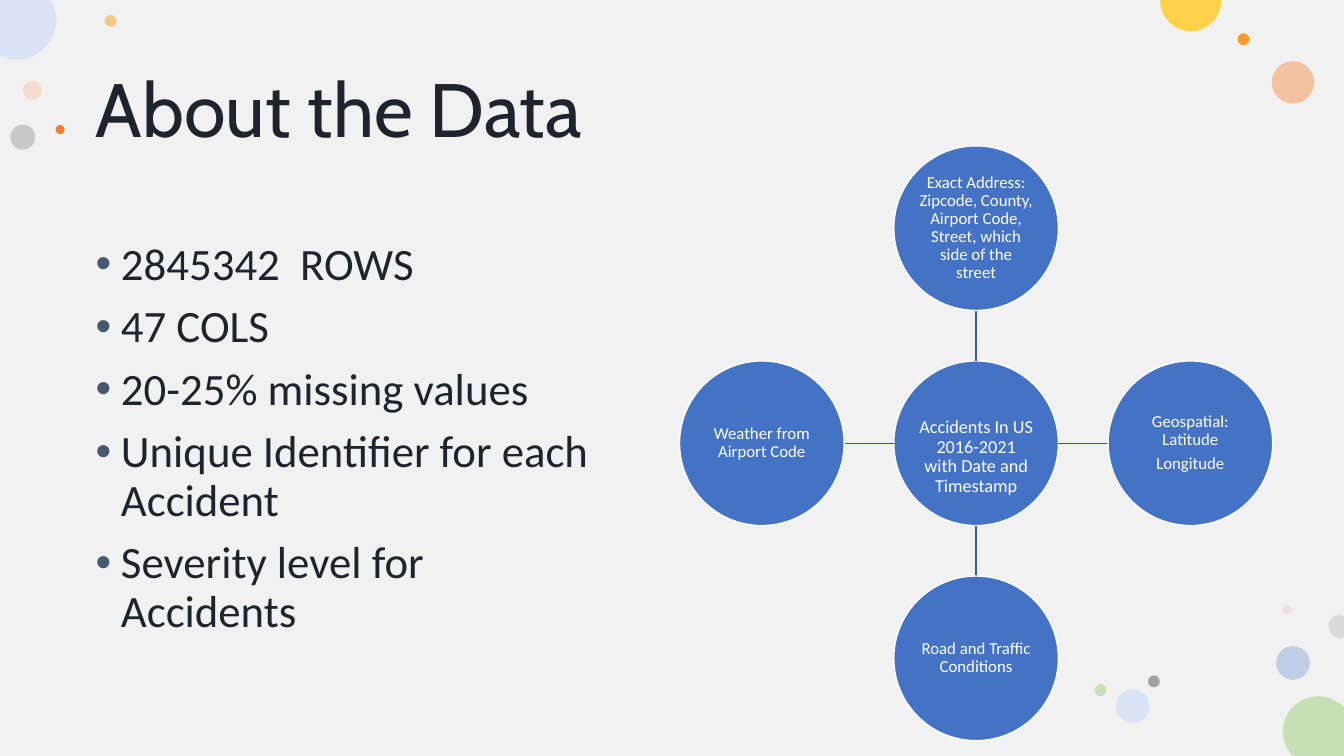
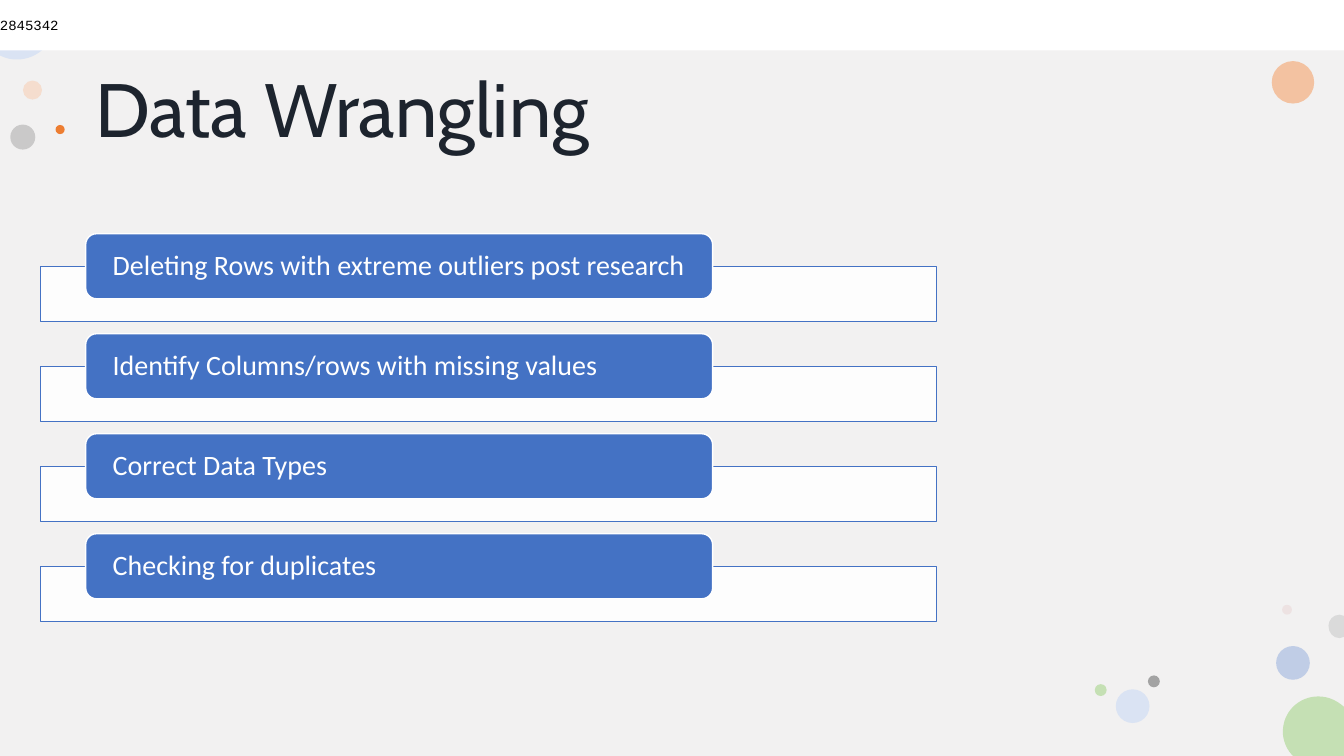
from lxml.etree import Element, SubElement
from pptx import Presentation
from pptx.dml.color import RGBColor
from pptx.enum.shapes import MSO_CONNECTOR, MSO_SHAPE
from pptx.enum.text import MSO_ANCHOR, PP_ALIGN
from pptx.oxml.ns import qn
from pptx.util import Cm, Pt

# Content
ABOUT_TITLE = "About the Data"
DATA_FACTS = [
    "2845342  ROWS",
    "47 COLS",
    "20-25% missing values",
    "Unique Identifier for each Accident",
    "Severity level for Accidents",
]
HUB_TOPIC = "Accidents In US 2016-2021 with Date and Timestamp"
# Column and row direction from the hub, then paragraphs
SPOKE_TOPICS = [
    (0, -1, ["Exact Address: Zipcode, County, Airport Code, Street, which side of the street"]),
    (1, 0, ["Geospatial: Latitude", "Longitude"]),
    (0, 1, ["Road and Traffic Conditions"]),
    (-1, 0, ["Weather from Airport Code"]),
]
WRANGLING_TITLE = "Data Wrangling"
ROW_COUNT = "2845342"
WRANGLING_STEPS = [
    "Deleting Rows with extreme outliers post research",
    "Identify Columns/rows with missing values",
    "Correct Data Types",
    "Checking for duplicates",
]

# Shared look
SLIDE_W, SLIDE_H = 33.87, 19.05
COLORS = {
    "background": "F2F1F1", "ink": "1D242E", "bullet": "475871",
    "accent": "4472C4", "spoke": "365B9D", "white": "FFFFFF", "black": "000000",
    "peach": "F8CBAD", "amber": "F39E29", "blue": "8FAADC", "gray": "A3A3A3",
    "salmon": "F4B183", "rose": "E3BEBE", "pale blue": "DAE3F3",
    "green": "C5E0B4", "yellow": "FFD149", "orange": "ED7D31", "silver": "DADADA",
}
HEADING_FONT, BODY_FONT, CODE_FONT = "Cabin", "Calibri", "Courier New"

# Dots: left, top, diameter (cm), colour, opacity in percent
DOTS = [
    (0.58, 2.03, 0.48, "peach", 50),
    (32.16, 16.28, 0.85, "blue", 50),
    (0.26, 3.14, 0.63, "gray", 50),
    (32.05, 1.54, 1.07, "salmon", 72),
    (32.31, 15.24, 0.25, "rose", 28),
    (28.93, 17.02, 0.3, "gray", 100),
    (28.12, 17.37, 0.85, "pale blue", 100),
    (27.59, 17.24, 0.3, "green", 100),
    (1.4, 3.15, 0.23, "orange", 100),
]
AMBER_DOTS = [
    (2.64, 0.38, 0.3, "amber", 50),
    (31.19, 0.84, 0.3, "amber", 100),
]
# Circles cut by the slide edge: colour, start, then lines (x, y)
# and curves (two control points and an end point)
EDGE_CIRCLES = [
    ("green", (33.22, 17.55), [
        (33.48, 17.55, 33.68, 17.65, 33.87, 17.81),
        (33.87, 19.05), (32.59, 19.05), (32.54, 19),
        (32.41, 18.85, 32.33, 18.64, 32.33, 18.44),
        (32.33, 17.93, 32.74, 17.55, 33.22, 17.55)]),
    ("pale blue", (0, 0), [
        (1.27, 0), (1.35, 0.13),
        (1.4, 0.23, 1.42, 0.36, 1.42, 0.51),
        (1.42, 1.04, 0.97, 1.5, 0.43, 1.5),
        (0.28, 1.5, 0.15, 1.47, 0.05, 1.42),
        (0, 1.4)]),
    ("yellow", (29.26, 0), [
        (30.78, 0), (30.78, 0.03),
        (30.78, 0.43, 30.43, 0.79, 30.02, 0.79),
        (29.59, 0.79, 29.24, 0.43, 29.24, 0.03)]),
    ("silver", (33.76, 15.49), [
        (33.87, 15.52), (33.87, 16.05), (33.76, 16.08),
        (33.6, 16.08, 33.48, 15.95, 33.48, 15.77),
        (33.48, 15.62, 33.6, 15.49, 33.76, 15.49)]),
]


def rgb(color):
    return RGBColor.from_string(COLORS[color])


def paint(shape, fill, line=None, opacity=100):
    shape.shadow.inherit = False
    shape.fill.solid()
    shape.fill.fore_color.rgb = rgb(fill)
    if opacity < 100:
        tint = shape.fill._xPr.find(qn("a:solidFill"))[0]
        SubElement(tint, qn("a:alpha")).set("val", str(opacity * 1000))
    if line:
        shape.line.color.rgb = rgb(line)
        shape.line.width = Pt(1)
    else:
        shape.line.fill.background()


def add_block(slide, kind, left, top, width, height, fill, line=None, opacity=100):
    block = slide.shapes.add_shape(kind, Cm(left), Cm(top), Cm(width), Cm(height))
    paint(block, fill, line, opacity)
    return block


def add_edge_circle(slide, color, start, segments):
    points = [(Cm(segment[i]), Cm(segment[i + 1]))
              for segment in segments for i in range(0, len(segment), 2)]
    builder = slide.shapes.build_freeform(Cm(start[0]), Cm(start[1]))
    builder.add_line_segments(points, close=True)
    circle = builder.convert_to_shape()
    paint(circle, color)

    # Turn each curve's three points into one Bézier segment
    lines = iter(circle._element.spPr.findall(".//" + qn("a:lnTo")))
    for segment in segments:
        parts = [next(lines) for _ in range(len(segment) // 2)]
        if len(parts) == 3:
            curve = Element(qn("a:cubicBezTo"))
            parts[0].addprevious(curve)
            for part in parts:
                curve.append(part[0])
                part.getparent().remove(part)


def write(shape, paragraphs, size, color, font=BODY_FONT, align=PP_ALIGN.LEFT,
          anchor=MSO_ANCHOR.MIDDLE, insets=None, before=0, after=0, spacing=0.9):
    frame = shape.text_frame
    frame.word_wrap = True
    frame.vertical_anchor = anchor
    if insets:
        (frame.margin_left, frame.margin_top,
         frame.margin_right, frame.margin_bottom) = [Cm(inset) for inset in insets]
    for index, text in enumerate(paragraphs):
        paragraph = frame.add_paragraph() if index else frame.paragraphs[0]
        paragraph.alignment = align
        paragraph.line_spacing = spacing
        paragraph.space_before, paragraph.space_after = Pt(before), Pt(after)
        run = paragraph.add_run()
        run.text = text
        run.font.size, run.font.name = Pt(size), font
        run.font.color.rgb = rgb(color)


def add_bullets(shape):
    for paragraph in shape.text_frame.paragraphs:
        properties = paragraph._p.get_or_add_pPr()
        properties.set("marL", str(Cm(0.64)))
        properties.set("indent", str(-Cm(0.64)))
        bullet_color = SubElement(properties, qn("a:buClr"))
        SubElement(bullet_color, qn("a:srgbClr")).set("val", COLORS["bullet"])
        SubElement(properties, qn("a:buFont")).set("typeface", "Arial")
        SubElement(properties, qn("a:buChar")).set("char", "•")


def add_base_slide(deck, title, dots):
    slide = deck.slides.add_slide(deck.slide_layouts[6])
    add_block(slide, MSO_SHAPE.RECTANGLE, 0, 0, SLIDE_W, SLIDE_H, "background")
    for left, top, size, color, opacity in dots:
        add_block(slide, MSO_SHAPE.OVAL, left, top, size, size, color, opacity=opacity)
    for circle in EDGE_CIRCLES:
        add_edge_circle(slide, *circle)
    heading = slide.shapes.add_textbox(Cm(2.16), Cm(1.02), Cm(29.62), Cm(3.68))
    write(heading, [title], 54, "ink", HEADING_FONT)
    return slide


def add_topic(slide, x, y, size, paragraphs, font_size, top_inset=0.02):
    topic = add_block(slide, MSO_SHAPE.OVAL, x - size / 2, y - size / 2,
                      size, size, "accent", "white")
    write(topic, paragraphs, font_size, "white", align=PP_ALIGN.CENTER,
          insets=(0.02, top_inset, 0.02, 0.02), after=4)


def add_spoke(slide, x1, y1, x2, y2):
    spoke = slide.shapes.add_connector(MSO_CONNECTOR.STRAIGHT,
                                       Cm(x1), Cm(y1), Cm(x2), Cm(y2))
    spoke.line.color.rgb = rgb("spoke")
    spoke.line.width = Pt(1)
    SubElement(spoke._element.spPr, qn("a:effectLst"))


def build_about(deck):
    slide = add_base_slide(deck, ABOUT_TITLE, DOTS + AMBER_DOTS)
    facts = slide.shapes.add_textbox(Cm(2.16), Cm(5.97), Cm(13.16), Cm(13))
    write(facts, DATA_FACTS, 32, "ink", anchor=MSO_ANCHOR.TOP, before=10)
    add_bullets(facts)

    # Hub and spokes
    hub_x, hub_y, size = 24.6, 11.17, 4.15
    reach_x, reach_y, radius = 5.4, 5.42, size / 2
    add_topic(slide, hub_x, hub_y, size, [HUB_TOPIC], 13, top_inset=0.72)
    for across, down, paragraphs in SPOKE_TOPICS:
        x, y = hub_x + across * reach_x, hub_y + down * reach_y
        add_spoke(slide, hub_x + across * radius, hub_y + down * radius,
                  x - across * radius, y - down * radius)
        add_topic(slide, x, y, size, paragraphs, 12)


def build_wrangling(deck):
    slide = add_base_slide(deck, WRANGLING_TITLE, DOTS)
    band = add_block(slide, MSO_SHAPE.RECTANGLE, 0, 0, SLIDE_W, 1.27, "white")
    write(band, [ROW_COUNT], 10, "black", CODE_FONT, insets=(0, 0, 0, 0), spacing=1.0)

    # Steps, each a label over a strip
    first_top, pitch = 5.89, 2.52
    for index, step in enumerate(WRANGLING_STEPS):
        top = first_top + index * pitch
        add_block(slide, MSO_SHAPE.RECTANGLE, 1.02, top + 0.82, 22.58, 1.4,
                  "white", "accent", opacity=90)
        label = add_block(slide, MSO_SHAPE.ROUNDED_RECTANGLE, 2.16, top, 15.8, 1.64,
                          "accent", "white")
        write(label, [step], 20, "white", insets=(0.6, 0, 0.4, 0))


def main():
    deck = Presentation()
    deck.slide_width, deck.slide_height = Cm(SLIDE_W), Cm(SLIDE_H)
    build_about(deck)
    build_wrangling(deck)
    deck.save("out.pptx")


if __name__ == "__main__":
    main()
